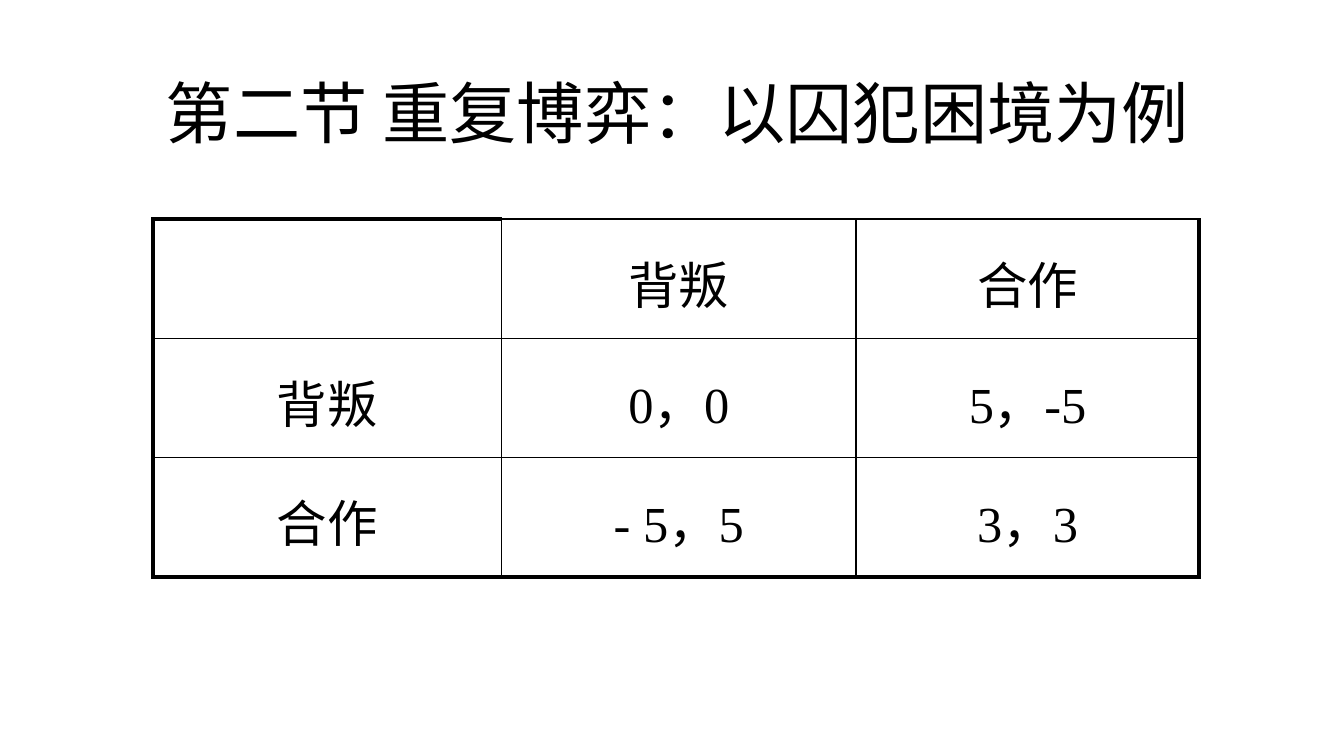
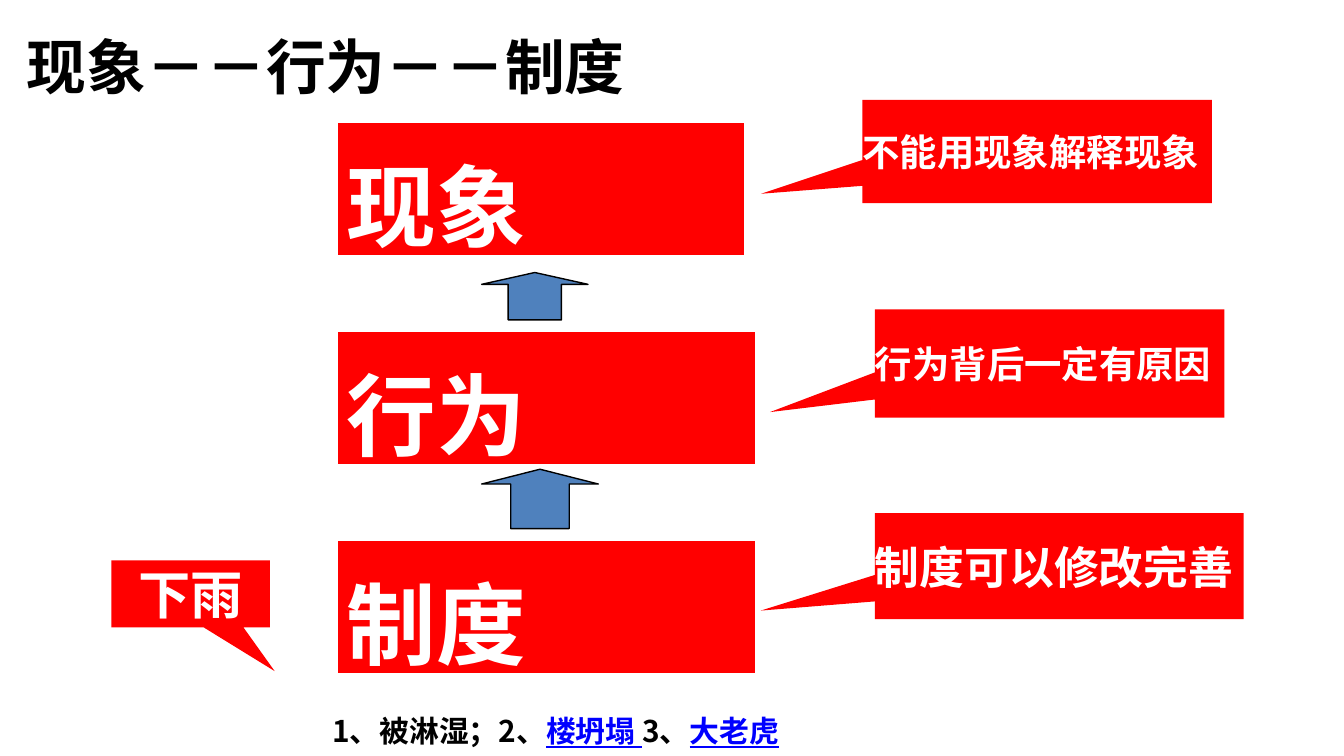
from dataclasses import dataclass

from lxml import etree
from pptx import Presentation
from pptx.dml.color import RGBColor
from pptx.enum.shapes import MSO_SHAPE
from pptx.enum.text import MSO_ANCHOR, PP_ALIGN
from pptx.oxml.ns import qn
from pptx.util import Pt

RECT, UP_ARROW, CALLOUT = MSO_SHAPE.RECTANGLE, MSO_SHAPE.UP_ARROW, MSO_SHAPE.RECTANGULAR_CALLOUT
TOP, MIDDLE, BOTTOM = MSO_ANCHOR.TOP, MSO_ANCHOR.MIDDLE, MSO_ANCHOR.BOTTOM
LEFT, CENTER, JUSTIFY = PP_ALIGN.LEFT, PP_ALIGN.CENTER, PP_ALIGN.JUSTIFY


@dataclass(frozen=True)
class Theme:
    black: RGBColor = RGBColor(0, 0, 0)
    white: RGBColor = RGBColor(255, 255, 255)
    red: RGBColor = RGBColor(255, 0, 0)
    blue: RGBColor = RGBColor(0x4F, 0x81, 0xBD)
    link: RGBColor = RGBColor(0, 0, 255)
    cjk: str = "Noto Sans CJK SC"
    latin: str = "Calibri"
    serif: str = "Times New Roman"
    title: int = 36
    heading: int = 32
    level: int = 48
    cell: int = 27
    rain: int = 28
    note_large: int = 24
    note: int = 20
    example: int = 16


T = Theme()


@dataclass(frozen=True)
class Box:
    x: float
    y: float
    w: float
    h: float

    def lengths(self):
        return Pt(self.x), Pt(self.y), Pt(self.w), Pt(self.h)


@dataclass(frozen=True)
class Style:
    size: int
    font: str = T.cjk
    color: RGBColor = T.black
    bold: bool = True
    align: PP_ALIGN = CENTER


@dataclass(frozen=True)
class Note:
    text: str
    box: Box
    tail: tuple
    size: int = T.note
    align: PP_ALIGN = LEFT


@dataclass(frozen=True)
class Level:
    text: str
    width: float


LEVELS = [Level("现象", 222), Level("行为", 228), Level("制度", 228)]
LEVEL_LEFT, LEVEL_TOP, LEVEL_STEP, LEVEL_HEIGHT = 178.6, 63.4, 112, 75.6
ARROWS = [Box(258, 146, 57, 25.4), Box(258, 251.4, 62.6, 31.8)]
NOTES = [
    Note("不能用现象解释现象", Box(462, 53.5, 187.2, 55.3), (-0.79, 0.41)),
    Note("行为背后一定有原因", Box(468.7, 165.7, 187.2, 58), (-0.8, 0.45)),
    Note("制度可以修改完善", Box(468.7, 275, 197.5, 56.7), (-0.81, 0.42), T.note_large),
    Note("下雨", Box(59.6, 300.2, 85, 36), (0.53, 1.15), T.rain, CENTER),
]
EXAMPLES = [("1、被淋湿；2、", False), ("楼坍塌 ", True), ("3、", False), ("大老虎", True)]
PAYOFFS = [
    ["", "背叛", "合作"],
    ["背叛", "0，0", "5，-5"],
    ["合作", "- 5，5", "3，3"],
]
TABLE = Box(82.1, 117.4, 560.2, 191.7)
COLUMNS = [186.5, 190.1, 183.6]
THIN, THICK = 1, 2.25


def style_paragraph(p, style: Style) -> None:
    p.alignment = style.align
    f = p.font
    f.name, f.size, f.bold = style.font, Pt(style.size), style.bold
    f.color.rgb = style.color


def set_margins(tf, margin: float) -> None:
    tf.margin_left = tf.margin_right = tf.margin_top = tf.margin_bottom = Pt(margin)


def add_text(s, box: Box, text: str, style: Style, anchor=TOP, wrap: bool = True):
    tf = s.shapes.add_textbox(*box.lengths()).text_frame
    tf.word_wrap, tf.vertical_anchor = wrap, anchor
    p = tf.paragraphs[0]
    p.text = text
    style_paragraph(p, style)
    return tf


def add_block(s, kind, box: Box, fill: RGBColor, line=None, width: float = 0):
    sp = s.shapes.add_shape(kind, *box.lengths())
    sp.shadow.inherit = False
    sp.fill.solid()
    sp.fill.fore_color.rgb = fill
    if line is None:
        sp.line.fill.background()
    else:
        sp.line.color.rgb = line
        sp.line.width = Pt(width)
    return sp


def fill_block(sp, text: str, style: Style):
    tf = sp.text_frame
    tf.word_wrap, tf.vertical_anchor = True, MIDDLE
    p = tf.paragraphs[0]
    p.text = text
    style_paragraph(p, style)
    return tf


def add_level(s, index: int, level: Level) -> None:
    box = Box(LEVEL_LEFT, LEVEL_TOP + index * LEVEL_STEP, level.width, LEVEL_HEIGHT)
    sp = add_block(s, RECT, box, T.red, T.white, 4.5)
    tf = fill_block(sp, level.text, Style(T.level, T.latin, T.white, align=JUSTIFY))
    tf.paragraphs[0].line_spacing = 1.3


def add_note(s, note: Note) -> None:
    sp = add_block(s, CALLOUT, note.box, T.red)
    sp.adjustments[0], sp.adjustments[1] = note.tail
    tf = fill_block(sp, note.text, Style(note.size, color=T.white, align=note.align))
    set_margins(tf, 0)


def set_borders(cell, widths: dict) -> None:
    pr = cell._tc.get_or_add_tcPr()
    for i, (side, width) in enumerate(widths.items()):
        ln = etree.Element(qn(f"a:ln{side}"), w=str(Pt(width)))
        fill = etree.SubElement(ln, qn("a:solidFill"))
        etree.SubElement(fill, qn("a:srgbClr"), val=str(T.black))
        pr.insert(i, ln)


def add_payoffs(s) -> None:
    n_rows, n_cols = len(PAYOFFS), len(COLUMNS)
    table = s.shapes.add_table(n_rows, n_cols, *TABLE.lengths()).table
    table.first_row = table.horz_banding = False
    for column, width in zip(table.columns, COLUMNS):
        column.width = Pt(width)
    for r, values in enumerate(PAYOFFS):
        table.rows[r].height = Pt(TABLE.h / n_rows)
        for c, value in enumerate(values):
            cell = table.cell(r, c)
            cell.fill.background()
            cell.vertical_anchor = MIDDLE
            cell.margin_left = cell.margin_right = Pt(7.2)
            cell.margin_top = cell.margin_bottom = Pt(2.9)
            p = cell.text_frame.paragraphs[0]
            p.text = value
            p.line_spacing, p.space_before = 1.1, Pt(5.4)
            style_paragraph(p, Style(T.cell, T.serif, bold=False))
            set_borders(cell, {
                "L": THICK if c == 0 else THIN,
                "R": THICK if c == n_cols - 1 else THIN,
                "T": THICK if r == c == 0 else THIN,
                "B": THICK if r == n_rows - 1 and c >= 0 else THIN,
            })


def add_examples(s) -> None:
    tf = add_text(s, Box(0, 360, 595.4, 41), "", Style(T.example), BOTTOM)
    tf.margin_bottom = 0
    for text, linked in EXAMPLES:
        r = tf.paragraphs[0].add_run()
        r.text = text
        f = r.font
        f.name, f.size, f.bold = T.cjk, Pt(T.example), True
        f.underline = linked
        f.color.rgb = T.link if linked else T.black


def build_game_slide(s) -> None:
    add_text(s, Box(42.5, 28, 640.8, 63.4), "第二节 重复博弈：以囚犯困境为例",
             Style(T.title, bold=False), MIDDLE)
    add_payoffs(s)


def build_levels_slide(s) -> None:
    for i, level in enumerate(LEVELS):
        add_level(s, i, level)
    for box in ARROWS:
        sp = add_block(s, UP_ARROW, box, T.blue, T.black, 0.75)
        sp.adjustments[0], sp.adjustments[1] = 0.5, 0.25
    for note in NOTES:
        add_note(s, note)
    add_examples(s)
    add_text(s, Box(5.8, 12.2, 337.7, 46), "现象－－行为－－制度",
             Style(T.heading, T.latin), wrap=False)


def main() -> None:
    prs = Presentation()
    prs.slide_width, prs.slide_height = Pt(720), Pt(405)
    for build in (build_game_slide, build_levels_slide):
        build(prs.slides.add_slide(prs.slide_layouts[6]))
    prs.save("out.pptx")


if __name__ == "__main__":
    main()
